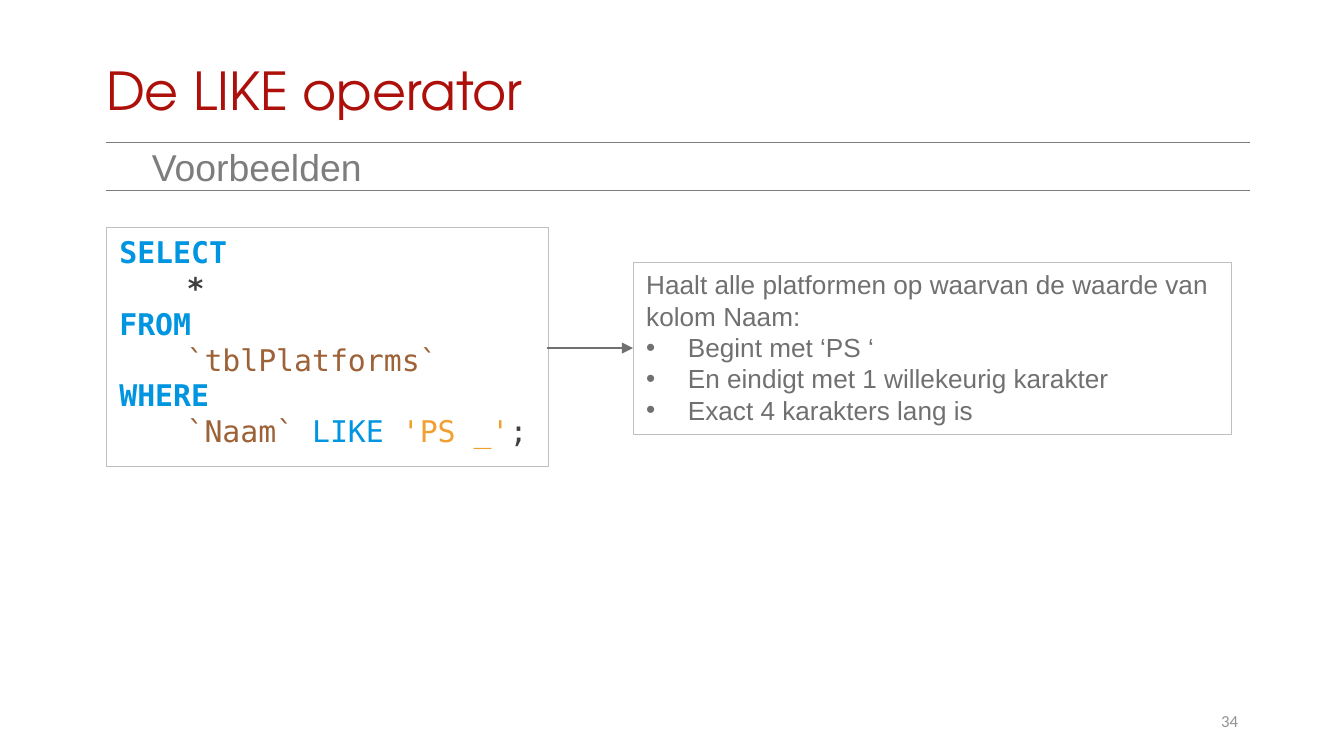
"""Build the slide about the SQL LIKE operator."""
from lxml.etree import SubElement
from pptx import Presentation
from pptx.dml.color import RGBColor
from pptx.enum.shapes import MSO_CONNECTOR, MSO_SHAPE
from pptx.enum.text import MSO_ANCHOR as ANCHOR, MSO_AUTO_SIZE, PP_ALIGN as ALIGN
from pptx.oxml.ns import qn
from pptx.util import Inches, Pt

GREY, RULE, BORDER, DARK = "707070", "7D7D7D", "BFBFBF", "404040"
KEYWORD, IDENTIFIER, STRING = "0095E0", "9D6237", "F0A030"


def rgb(color):
    return RGBColor.from_string(color)


def style(paragraph, font, size, color, align=ALIGN.LEFT):
    paragraph.alignment = align
    paragraph.font.name = font
    paragraph.font.size = Pt(size)
    paragraph.font.color.rgb = rgb(color)


deck = Presentation()
deck.slide_width = Inches(10)
deck.slide_height = deck.slide_width * 9 // 16
slide = deck.slides.add_slide(deck.slide_layouts[5])
shapes = slide.shapes

title = shapes.title
title.left, title.top = Inches(0.69), Inches(0.45)
title.width, title.height = Inches(8.62), Inches(0.49)
title.text_frame.text = "De LIKE operator"
title.text_frame.auto_size = MSO_AUTO_SIZE.NONE
title.text_frame.vertical_anchor = ANCHOR.MIDDLE
title.text_frame.paragraphs[0].line_spacing = 0.9
style(title.text_frame.paragraphs[0], "TeX Gyre Adventor", 28, "AD0F0A")

page_number = shapes.add_textbox(Inches(8.42), Inches(5.21), Inches(0.89), Inches(0.3)).text_frame
page_number.text = "34"
page_number.word_wrap = True
page_number.vertical_anchor = ANCHOR.MIDDLE
style(page_number.paragraphs[0], "Calibri", 9, "939393", ALIGN.RIGHT)

subtitle = shapes.add_textbox(Inches(0.8), Inches(1.02), Inches(8.73), Inches(0.44)).text_frame
subtitle.text = "Voorbeelden"
subtitle.word_wrap = True
subtitle.margin_left = Inches(0.33)
style(subtitle.paragraphs[0], "Arial", 20, RULE)

panels = []
for left, top, width, height in [(0.79, 1.69, 3.29, 1.78), (4.71, 1.95, 4.45, 1.28)]:
    panel = shapes.add_shape(
        MSO_SHAPE.RECTANGLE, Inches(left), Inches(top), Inches(width), Inches(height))
    panel.shadow.inherit = False
    panel.fill.background()
    panel.line.color.rgb = rgb(BORDER)
    panel.line.width = Pt(0.5)
    panel.text_frame.vertical_anchor = ANCHOR.TOP
    panels.append(panel.text_frame)
query, explanation = panels

query_lines = [
    [("SELECT", KEYWORD, True)],
    [("\t*", DARK, True)],
    [("FROM", KEYWORD, True)],
    [("\t`tblPlatforms`", IDENTIFIER, False), ("\v", None, False), ("WHERE", KEYWORD, True)],
    [("\t`Naam` ", IDENTIFIER, False), ("LIKE ", KEYWORD, False),
     ("'PS _'", STRING, False), (";", DARK, False)],
]
for number, tokens in enumerate(query_lines):
    line = query.add_paragraph() if number else query.paragraphs[0]
    tabs = SubElement(line._p.get_or_add_pPr(), qn("a:tabLst"))
    SubElement(tabs, qn("a:tab"), pos=str(Inches(0.5)), algn="l")
    style(line, "DejaVu Sans Mono", 16, DARK)
    for text, color, bold in tokens:
        if text == "\v":
            line.add_line_break()
            continue
        token = line.add_run()
        token.text = text
        token.font.bold = bold
        token.font.color.rgb = rgb(color)

explanation.word_wrap = False
explanation_lines = [
    "Haalt alle platformen op waarvan de waarde van \vkolom Naam:",
    "Begint met ‘PS ‘",
    "En eindigt met 1 willekeurig karakter",
    "Exact 4 karakters lang is",
]
for number, text in enumerate(explanation_lines):
    line = explanation.add_paragraph() if number else explanation.paragraphs[0]
    line.text = text
    if number:
        properties = line._p.get_or_add_pPr()
        properties.set("marL", str(Inches(0.31)))
        properties.set("indent", str(-Inches(0.31)))
        SubElement(properties, qn("a:buFont"), typeface="Arial")
        SubElement(properties, qn("a:buChar"), char="•")
    style(line, "Arial", 14, GREY)

connectors = [
    (0.79, 9.3, 1.06, RULE, False),
    (0.79, 9.3, 1.42, RULE, False),
    (4.07, 4.71, 2.59, GREY, True),
]
for start, end, y, color, has_arrow in connectors:
    connector = shapes.add_connector(
        MSO_CONNECTOR.STRAIGHT, Inches(start), Inches(y), Inches(end), Inches(y))
    connector.line.color.rgb = rgb(color)
    connector.line.width = Pt(0.75)
    if has_arrow:
        SubElement(connector.line._get_or_add_ln(), qn("a:tailEnd"), type="triangle")
    SubElement(connector._element.spPr, qn("a:effectLst"))

deck.save("out.pptx")
